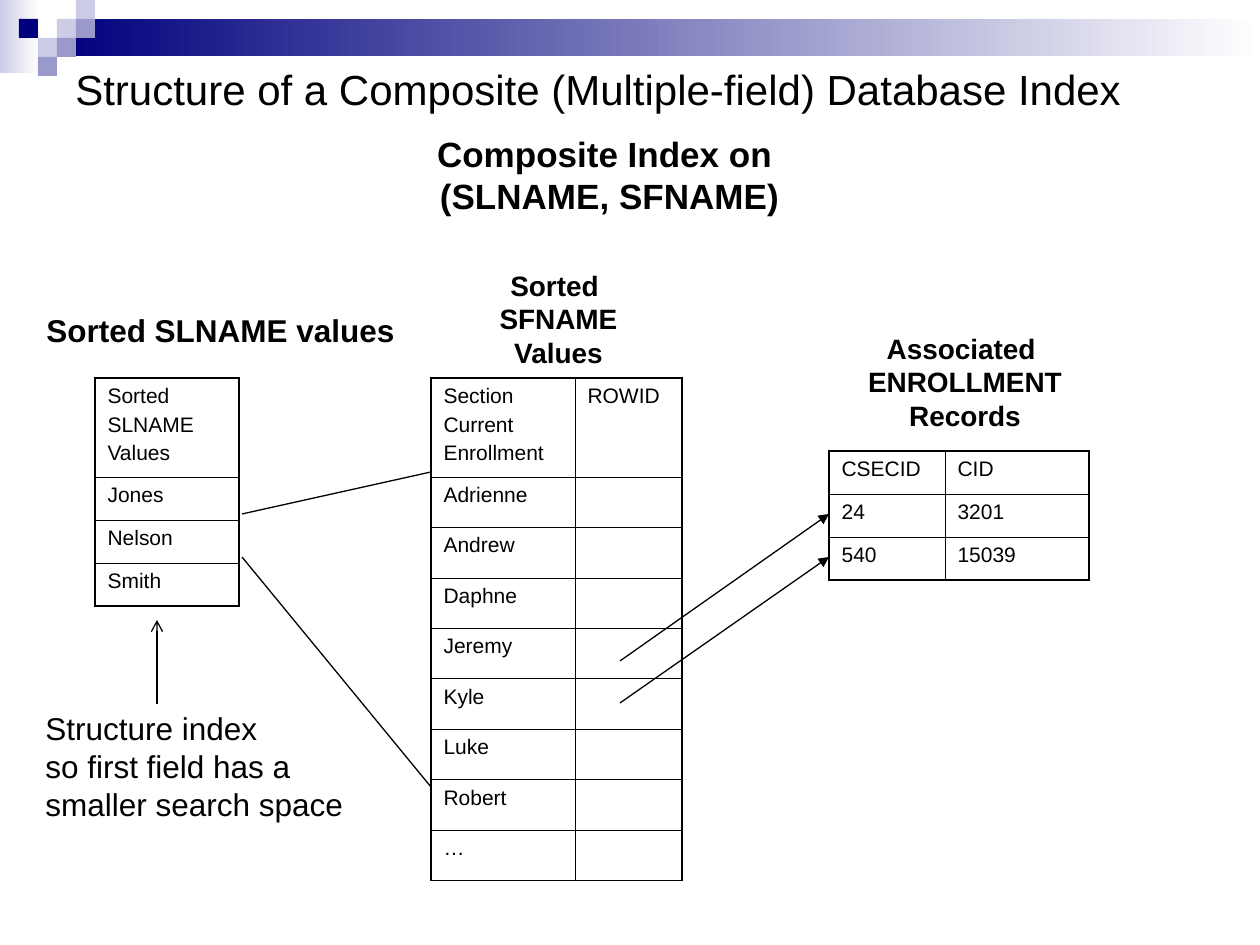
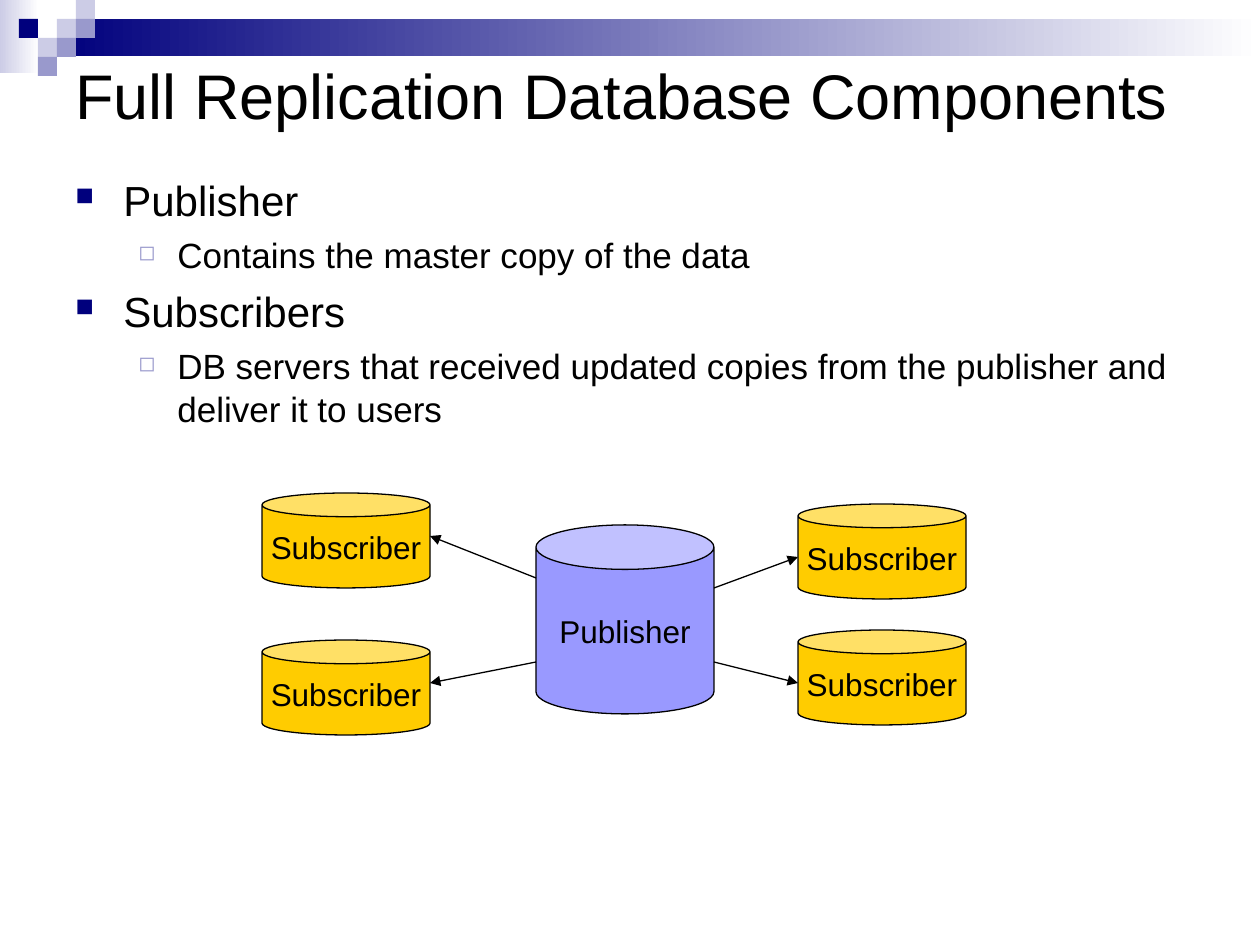
import dataclasses

import lxml.etree
import pptx
import pptx.dml.color
import pptx.enum.shapes
import pptx.enum.text
import pptx.oxml.ns
import pptx.util

EMU_PER_PX = 914400 / 126
SHAPES = pptx.enum.shapes.MSO_SHAPE
ALIGN = pptx.enum.text.PP_ALIGN
ANCHOR = pptx.enum.text.MSO_ANCHOR
qn = pptx.oxml.ns.qn


@dataclasses.dataclass(frozen=True)
class Theme:
    font: str = "Arial"
    ink: str = "000000"
    white: str = "FFFFFF"
    navy: str = "00007D"
    lavender: str = "9999CC"
    pale: str = "CCCCE6"
    publisher: str = "9999FF"
    subscriber: str = "FFCC00"
    title: int = 36
    long_title: int = 24
    bullet: int = 24
    sub_bullet: int = 20
    bullet_percent: int = 60
    heading: int = 20
    label: int = 18
    caption: int = 16
    cell: int = 12
    line: float = 0.75
    outer_border: float = 1.08
    inner_border: float = 0.45


THEME = Theme()


def px(length):
    return pptx.util.Emu(round(length * EMU_PER_PX))


def rgb(color):
    return pptx.dml.color.RGBColor.from_string(color)


# Text
def add_run(paragraph, text, size, bold=False):
    run = paragraph.add_run()
    run.text = text
    run.font.name = THEME.font
    run.font.size = pptx.util.Pt(size)
    run.font.bold = bold
    run.font.color.rgb = rgb(THEME.ink)


def write_lines(frame, lines, size, bold=False, align=ALIGN.LEFT, gap=0):
    for index, line in enumerate(lines):
        paragraph = frame.add_paragraph() if index else frame.paragraphs[0]
        paragraph.alignment = align
        if index and gap:
            paragraph.space_before = pptx.util.Pt(gap)
        add_run(paragraph, line, size, bold)


def add_text(slide, box, lines, size, bold=False, align=ALIGN.LEFT,
             anchor=ANCHOR.TOP, wrap=False):
    frame = slide.shapes.add_textbox(*map(px, box)).text_frame
    frame.word_wrap = wrap
    frame.vertical_anchor = anchor
    write_lines(frame, lines, size, bold, align)


def add_title(slide, box, text, size):
    add_text(slide, box, [text], size, anchor=ANCHOR.MIDDLE, wrap=True)


def set_bullet(paragraph, symbol, color, margin, hanging):
    properties = paragraph._p.get_or_add_pPr()
    properties.set("marL", str(px(margin)))
    properties.set("indent", str(-px(hanging)))
    bullet_color = lxml.etree.SubElement(properties, qn("a:buClr"))
    lxml.etree.SubElement(bullet_color, qn("a:srgbClr"), val=color)
    lxml.etree.SubElement(properties, qn("a:buSzPct"), val=str(THEME.bullet_percent * 1000))
    lxml.etree.SubElement(properties, qn("a:buChar"), char=symbol)


def add_bullets(slide, box, items):
    frame = slide.shapes.add_textbox(*map(px, box)).text_frame
    frame.word_wrap = True
    for index, (level, text) in enumerate(items):
        paragraph = frame.add_paragraph() if index else frame.paragraphs[0]
        paragraph.level = level
        if level:
            set_bullet(paragraph, "◻", THEME.lavender, 102, 39)
        else:
            set_bullet(paragraph, "■", THEME.navy, 48, 48)
        if index:
            paragraph.space_before = pptx.util.Pt(5 if level else 6)
        add_run(paragraph, text, THEME.sub_bullet if level else THEME.bullet)


# Shapes and lines
def add_block(slide, box, color, fade_to=None):
    shape = slide.shapes.add_shape(SHAPES.RECTANGLE, *map(px, box))
    shape.shadow.inherit = False
    shape.line.fill.background()
    if fade_to:
        shape.fill.gradient()
        shape.fill.gradient_angle = 0
        for stop, stop_color in zip(shape.fill.gradient_stops, (color, fade_to)):
            stop.color.rgb = rgb(stop_color)
    else:
        shape.fill.solid()
        shape.fill.fore_color.rgb = rgb(color)


def add_database(slide, box, name, color):
    shape = slide.shapes.add_shape(SHAPES.CAN, *map(px, box))
    shape.shadow.inherit = False
    shape.fill.solid()
    shape.fill.fore_color.rgb = rgb(color)
    shape.line.color.rgb = rgb(THEME.ink)
    shape.line.width = pptx.util.Pt(THEME.line)
    shape.text_frame.word_wrap = False
    shape.text_frame.vertical_anchor = ANCHOR.MIDDLE
    write_lines(shape.text_frame, [name], THEME.label, align=ALIGN.CENTER)


def add_line(slide, start, end, arrowhead=None):
    connector = slide.shapes.add_connector(
        pptx.enum.shapes.MSO_CONNECTOR.STRAIGHT, *map(px, start + end))
    connector.line.color.rgb = rgb(THEME.ink)
    connector.line.width = pptx.util.Pt(THEME.line)
    properties = connector.element.spPr
    if arrowhead:
        lxml.etree.SubElement(properties.find(qn("a:ln")), qn("a:tailEnd"), type=arrowhead)
    lxml.etree.SubElement(properties, qn("a:effectLst"))


# Tables
def set_borders(cell, outer_sides):
    properties = cell._tc.get_or_add_tcPr()
    for index, side in enumerate("LRTB"):
        width = THEME.outer_border if side in outer_sides else THEME.inner_border
        border = lxml.etree.Element(qn("a:ln" + side), w=str(pptx.util.Pt(width)))
        fill = lxml.etree.SubElement(border, qn("a:solidFill"))
        lxml.etree.SubElement(fill, qn("a:srgbClr"), val=THEME.ink)
        properties.insert(index, border)


def add_grid(slide, left, top, widths, heights, rows):
    table = slide.shapes.add_table(
        len(rows), len(widths), px(left), px(top), px(sum(widths)), px(sum(heights))).table
    table.first_row = table.horz_banding = False
    for column, width in zip(table.columns, widths):
        column.width = px(width)
    for row, height in zip(table.rows, heights):
        row.height = px(height)
    last_row, last_column = len(rows) - 1, len(widths) - 1
    for r, texts in enumerate(rows):
        for c, text in enumerate(texts):
            cell = table.cell(r, c)
            cell.fill.background()
            if text:
                write_lines(cell.text_frame, text.split("\n"), THEME.cell, gap=3)
            edges = {"L": c == 0, "R": c == last_column, "T": r == 0, "B": r == last_row}
            set_borders(cell, [side for side, is_outer in edges.items() if is_outer])


# Shared band with its mosaic of squares
def add_slide(presentation):
    slide = presentation.slides.add_slide(presentation.slide_layouts[6])
    add_block(slide, (0, 0, 39, 73), THEME.pale, THEME.white)
    add_block(slide, (57, 19, 1203, 37), THEME.navy, THEME.white)
    square = 19
    mosaic = [(3, 1, THEME.pale), (4, 0, THEME.pale), (4, 1, THEME.lavender),
              (2, 2, THEME.pale), (1, 1, THEME.navy), (3, 2, THEME.lavender),
              (2, 3, THEME.lavender)]
    for column, row, color in mosaic:
        add_block(slide, (column * square, row * square, square, square), color)
    return slide


def build_index_slide(presentation):
    slide = add_slide(presentation)
    add_title(slide, (63, 21, 1134, 136),
              "Structure of a Composite (Multiple-field) Database Index", THEME.long_title)

    # Headings
    add_text(slide, (415, 126, 389, 97), ["Composite Index on ", "(SLNAME, SFNAME)"],
             THEME.heading, True, ALIGN.CENTER)
    add_text(slide, (34, 305, 390, 50), ["Sorted SLNAME values"], THEME.label, True)
    add_text(slide, (482, 262, 153, 113), ["Sorted ", "SFNAME", "Values"],
             THEME.caption, True, ALIGN.CENTER)
    add_text(slide, (855, 325, 220, 113), ["Associated ", "ENROLLMENT", "Records"],
             THEME.caption, True, ALIGN.CENTER)

    # Index levels and the records they lead to
    add_grid(slide, 95, 378, [144], [99] + [43] * 3,
             [["Sorted\nSLNAME\nValues"], ["Jones"], ["Nelson"], ["Smith"]])
    first_names = ["Adrienne", "Andrew", "Daphne", "Jeremy", "Kyle", "Luke", "Robert", "…"]
    add_grid(slide, 431, 378, [144, 107], [99] + [50.4] * len(first_names),
             [["Section\nCurrent\nEnrollment", "ROWID"]] + [[name, ""] for name in first_names])
    add_grid(slide, 829, 451, [116, 144], [43] * 3,
             [["CSECID", "CID"], ["24", "3201"], ["540", "15039"]])

    # Links between the levels
    add_line(slide, (242, 514), (431, 472))
    add_line(slide, (242, 557), (431, 787))
    for row_id_y, record_y in [(661, 514), (703, 557)]:
        add_line(slide, (620, row_id_y), (829, record_y), "triangle")

    # Note on the first field
    add_line(slide, (157, 704), (157, 620), "arrow")
    add_text(slide, (33, 703, 340, 126),
             ["Structure index", "so first field has a", "smaller search space"], THEME.label)


def build_replication_slide(presentation):
    slide = add_slide(presentation)
    add_title(slide, (63, 0, 1134, 189), "Full Replication Database Components", THEME.title)
    add_bullets(slide, (63, 168, 1134, 325), [
        (0, "Publisher"),
        (1, "Contains the master copy of the data"),
        (0, "Subscribers"),
        (1, "DB servers that received updated copies from the publisher and deliver it to users"),
    ])

    # Publisher and its subscribers
    add_database(slide, (536, 525, 178, 189), "Publisher", THEME.publisher)
    for left, top in [(798, 504), (798, 630), (262, 493), (262, 640)]:
        add_database(slide, (left, top, 168, 95), "Subscriber", THEME.subscriber)
    for start, end in [((536, 578), (430, 536)), ((536, 662), (430, 683)),
                       ((714, 588), (798, 557)), ((714, 662), (798, 683))]:
        add_line(slide, start, end, "triangle")


def main():
    presentation = pptx.Presentation()
    presentation.slide_width = px(1260)
    presentation.slide_height = px(945)
    build_index_slide(presentation)
    build_replication_slide(presentation)
    presentation.save("out.pptx")


if __name__ == "__main__":
    main()
